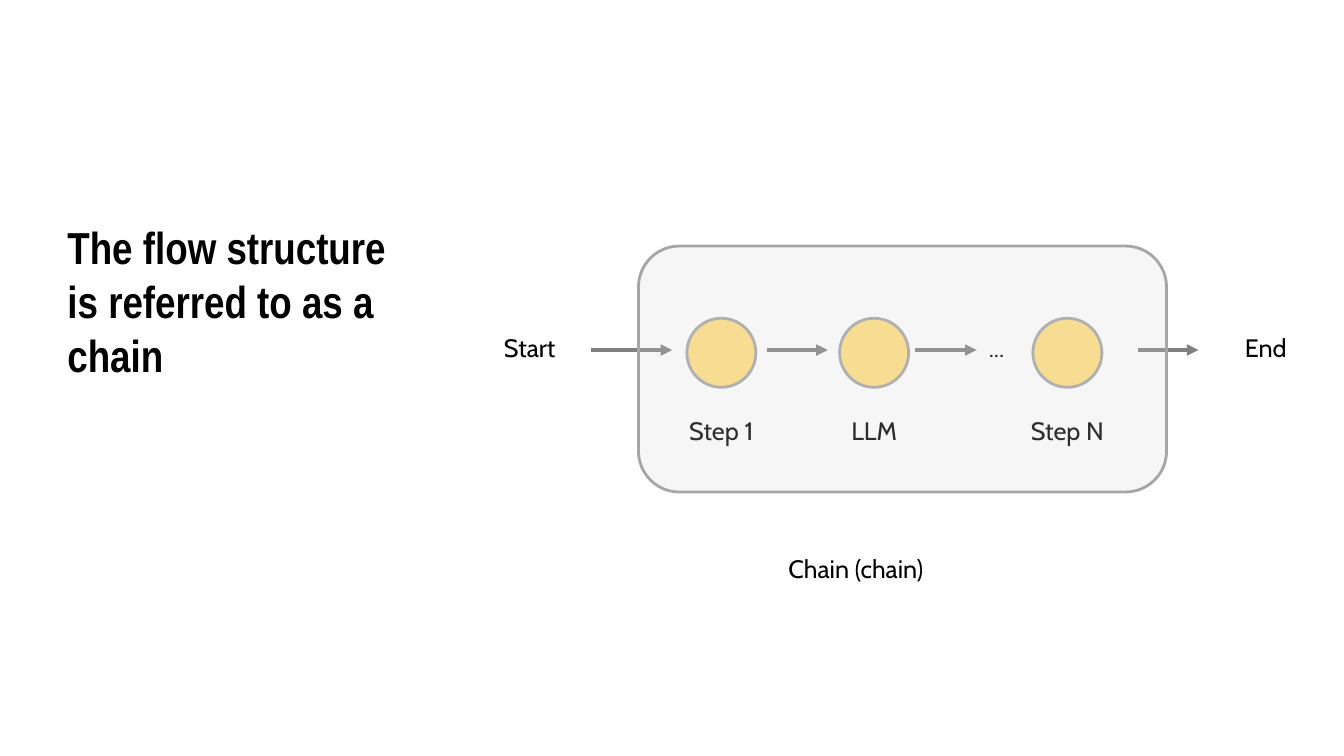
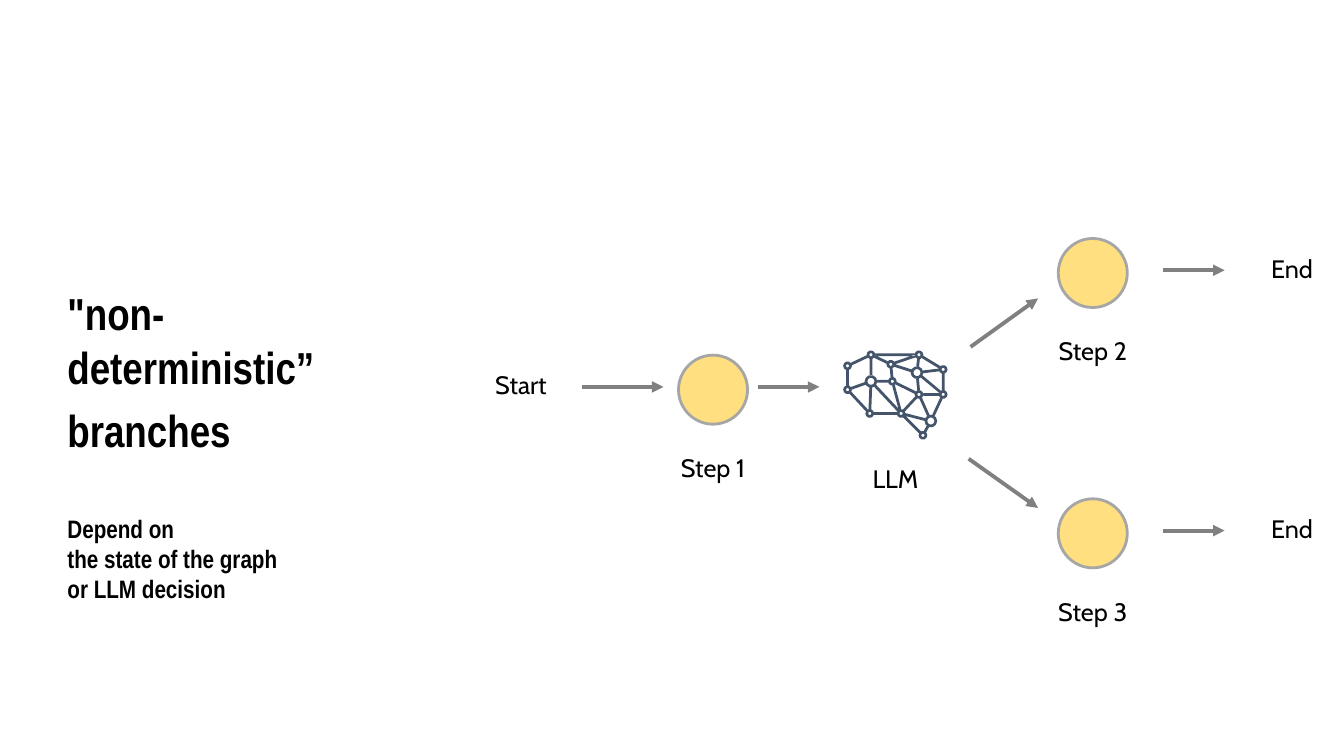
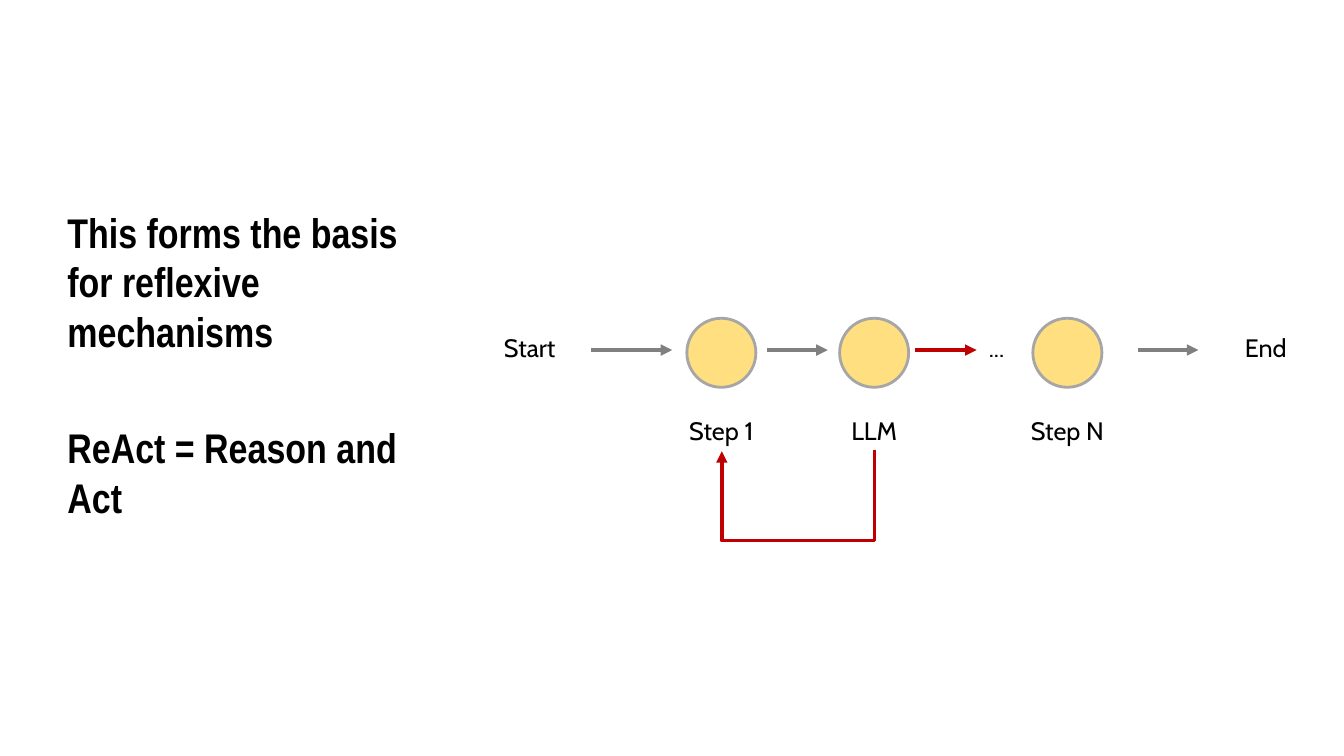
from dataclasses import dataclass
from math import cos, hypot, pi, sin

from lxml import etree
from pptx import Presentation
from pptx.dml.color import RGBColor
from pptx.enum.shapes import MSO_CONNECTOR, MSO_SHAPE
from pptx.enum.text import MSO_ANCHOR, PP_ALIGN
from pptx.oxml.ns import qn
from pptx.shapes.connector import Connector
from pptx.util import Cm, Pt

STRAIGHT, ELBOW = MSO_CONNECTOR.STRAIGHT, MSO_CONNECTOR.ELBOW
OVAL, ROUNDED = MSO_SHAPE.OVAL, MSO_SHAPE.ROUNDED_RECTANGLE
LEFT, CENTER = PP_ALIGN.LEFT, PP_ALIGN.CENTER
TOP, MIDDLE = MSO_ANCHOR.TOP, MSO_ANCHOR.MIDDLE

# Shared style
BLACK = RGBColor(0x00, 0x00, 0x00)
AMBER = RGBColor(0xFF, 0xC0, 0x00)
PALE_GRAY = RGBColor(0xD9, 0xD9, 0xD9)
EDGE_GRAY = RGBColor(0xA6, 0xA6, 0xA6)
ARROW_GRAY = RGBColor(0x80, 0x80, 0x80)
RED = RGBColor(0xC0, 0x00, 0x00)
SLATE = RGBColor(0x44, 0x54, 0x6A)
TITLE_FONT, LABEL_FONT = "Arial Narrow", "Cabin"

# Shared measures in centimetres; offsets are from the centre line of a flow
TITLE_LEFT, TITLE_TOP = 1.45, 5.33
STEP_SIZE = 1.74
LABEL_WIDTH, LABEL_HEIGHT = 2.64, 1.02
STEP_LABEL_OFFSET, END_LABEL_OFFSET, ARROW_OFFSET = 1.45, -0.63, -0.07
FLOW_Y = 8.89

Point = tuple[float, float]


@dataclass(frozen=True)
class Step:
    name: str
    x: float
    y: float


@dataclass(frozen=True)
class Arrow:
    start: float
    end: float
    y: float
    color: RGBColor = ARROW_GRAY


@dataclass(frozen=True)
class Node:
    x: float
    y: float
    radius: float = 0.11


FLOW_STEPS = (
    Step("Step 1", 18.18, FLOW_Y),
    Step("LLM", 22.03, FLOW_Y),
    Step("Step N", 26.9, FLOW_Y),
)

# Network icon: nodes and the pairs they join
EDGE_WIDTH, RING_WIDTH, RING_SIDES = 0.07, 0.07, 10
NODES = {
    "a": Node(21.95, 8.94), "b": Node(23.16, 8.94), "c": Node(21.36, 9.22),
    "d": Node(22.45, 9.18), "e": Node(23.11, 9.39, 0.16), "f": Node(23.77, 9.31),
    "g": Node(21.95, 9.61, 0.16), "h": Node(22.49, 9.61), "i": Node(21.36, 9.82),
    "j": Node(23.16, 9.94), "k": Node(23.77, 9.94), "l": Node(21.92, 10.42),
    "m": Node(22.71, 10.42), "n": Node(23.46, 10.61, 0.16), "o": Node(23.26, 10.97),
}
EDGES = ("ab ac ad ag bd be bf ci de dh ef ej ek fk gh gi gl gm "
         "hj hm il jk jm jn kn lm mn mo no").split()


# Drawing helpers
def write(shapes, text: str, left: float, top: float, width: float, height: float, *,
          font: str = LABEL_FONT, size: float = 18, bold: bool = False,
          align: PP_ALIGN = LEFT, anchor: MSO_ANCHOR = TOP,
          gaps: tuple[float, ...] = (0,)) -> None:
    """Write one paragraph per line of text; gaps are the spaces before them."""
    box = shapes.add_textbox(Cm(left), Cm(top), Cm(width), Cm(height))
    frame = box.text_frame
    frame.word_wrap = True
    frame.vertical_anchor = anchor
    for index, (line, gap) in enumerate(zip(text.split("\n"), gaps)):
        para = frame.add_paragraph() if index else frame.paragraphs[0]
        para.text = line
        para.alignment = align
        para.space_before = Pt(gap)
        for span in para.runs:
            span.font.name = font
            span.font.size = Pt(size)
            span.font.bold = bold
            span.font.color.rgb = BLACK


def write_title(shapes, text: str, width: float, height: float, *, top: float = TITLE_TOP,
                size: float = 32, gaps: tuple[float, ...] = (6.4,)) -> None:
    write(shapes, text, TITLE_LEFT, top, width, height, font=TITLE_FONT, size=size,
          bold=True, anchor=MIDDLE, gaps=gaps)


def write_label(shapes, text: str, x: float, top: float) -> None:
    write(shapes, text, x - LABEL_WIDTH / 2, top, LABEL_WIDTH, LABEL_HEIGHT, align=CENTER)


def add_figure(shapes, kind: MSO_SHAPE, left: float, top: float, width: float, height: float,
               fill: RGBColor, opacity: int) -> None:
    figure = shapes.add_shape(kind, Cm(left), Cm(top), Cm(width), Cm(height))
    figure.shadow.inherit = False
    figure.fill.solid()
    figure.fill.fore_color.rgb = fill
    figure.line.color.rgb = EDGE_GRAY
    figure.line.width = Pt(2)
    color = figure._element.spPr.find(qn("a:solidFill")).find(qn("a:srgbClr"))
    etree.SubElement(color, qn("a:alpha")).set("val", str(opacity * 1000))


def add_arrow(shapes, start: Point, end: Point, *, color: RGBColor = ARROW_GRAY,
              kind: MSO_CONNECTOR = STRAIGHT) -> Connector:
    arrow = shapes.add_connector(kind, Cm(start[0]), Cm(start[1]), Cm(end[0]), Cm(end[1]))
    arrow.line.color.rgb = color
    arrow.line.width = Pt(2.75)
    outline = arrow._element.spPr.find(qn("a:ln"))
    etree.SubElement(outline, qn("a:tailEnd")).set("type", "triangle")
    etree.SubElement(arrow._element.spPr, qn("a:effectLst"))
    return arrow


def draw_flow(shapes, steps: tuple[Step, ...], arrows: tuple[Arrow, ...],
              terminals: tuple[Step, ...]) -> None:
    for terminal in terminals:
        write_label(shapes, terminal.name, terminal.x, terminal.y + END_LABEL_OFFSET)
    for arrow in arrows:
        y = arrow.y + ARROW_OFFSET
        add_arrow(shapes, (arrow.start, y), (arrow.end, y), color=arrow.color)
    for step in steps:
        add_figure(shapes, OVAL, step.x - STEP_SIZE / 2, step.y - STEP_SIZE / 2,
                   STEP_SIZE, STEP_SIZE, AMBER, opacity=50)
        write_label(shapes, step.name, step.x, step.y + STEP_LABEL_OFFSET)


def draw_linear_flow(shapes, onward_color: RGBColor = ARROW_GRAY) -> None:
    arrows = (
        Arrow(14.9, 16.94, FLOW_Y),
        Arrow(19.33, 20.86, FLOW_Y),
        Arrow(23.06, 24.61, FLOW_Y, onward_color),
        Arrow(28.68, 30.2, FLOW_Y),
    )
    terminals = (Step("Start", 13.35, FLOW_Y), Step("End", 31.9, FLOW_Y))
    draw_flow(shapes, FLOW_STEPS, arrows, terminals)
    write(shapes, "...", 24.67, FLOW_Y + END_LABEL_OFFSET, 0.99, LABEL_HEIGHT)


# Network icon
def ring_outline(node: Node, radius: float) -> list[Point]:
    angles = [2 * pi * side / RING_SIDES for side in range(RING_SIDES)]
    return [(node.x + radius * cos(angle), node.y + radius * sin(angle)) for angle in angles]


def edge_outline(start: Node, end: Node) -> list[Point]:
    """Return the corners of a bar that runs from rim to rim."""
    length = hypot(end.x - start.x, end.y - start.y)
    along_x, along_y = (end.x - start.x) / length, (end.y - start.y) / length
    half = EDGE_WIDTH / 2
    corners = ((start.radius, half), (length - end.radius, half),
               (length - end.radius, -half), (start.radius, -half))
    return [(start.x + along * along_x - across * along_y,
             start.y + along * along_y + across * along_x) for along, across in corners]


def draw_network(shapes) -> None:
    outlines = [edge_outline(NODES[first], NODES[second]) for first, second in EDGES]
    for node in NODES.values():
        outlines.append(ring_outline(node, node.radius))
        outlines.append(ring_outline(node, node.radius - RING_WIDTH)[::-1])
    contours = [[(Cm(x), Cm(y)) for x, y in outline] for outline in outlines]
    builder = shapes.build_freeform(*contours[0][0])
    for index, contour in enumerate(contours):
        if index:
            builder.move_to(*contour[0])
        builder.add_line_segments(contour[1:], close=True)
    network = builder.convert_to_shape()
    network.shadow.inherit = False
    network.fill.solid()
    network.fill.fore_color.rgb = SLATE
    network.line.fill.background()


def draw_loop_back(shapes, source: Step, target: Step) -> None:
    """Lead an elbow arrow down from the source label and up to the target."""
    x, y = (source.x + target.x) / 2 + 0.01, 11.35
    drop, rise = 2.29, 0.04
    reach = source.x - target.x
    loop = add_arrow(shapes, (x - rise / 2, y - reach / 2), (x + rise / 2, y + reach / 2),
                     color=RED, kind=ELBOW)
    properties = loop._element.spPr
    properties.find(qn("a:xfrm")).set("rot", "5400000")
    adjustments = properties.find(qn("a:prstGeom")).get_or_add_avLst()
    guide = etree.SubElement(adjustments, qn("a:gd"))
    guide.set("name", "adj1")
    guide.set("fmla", f"val {round(drop / rise * 100000)}")


# Slides
def build_chain(shapes) -> None:
    draw_linear_flow(shapes)
    add_figure(shapes, ROUNDED, 16.09, 6.2, 13.31, 6.2, PALE_GRAY, opacity=21)
    write(shapes, "Chain (chain)", 19.62, 13.82, 4.83, LABEL_HEIGHT)
    write_title(shapes, "The flow structure is referred to as a chain", 8.89, 4.5)


def build_branches(shapes) -> None:
    write_title(shapes, "\"non-deterministic”\nbranches", 8.43, 8.05, gaps=(6.4, 6.4))
    write_title(shapes, "Depend on\vthe state of the graph\vor LLM decision", 11.91, 7.7,
                top=10.22, size=18, gaps=(3.6,))
    middle, upper, lower = 9.82, 6.88, 13.44
    steps = (Step("Step 1", 17.97, middle), Step("Step 2", 27.54, upper),
             Step("Step 3", 27.54, lower))
    arrows = (Arrow(14.67, 16.72, middle), Arrow(19.1, 20.65, middle),
              Arrow(29.32, 30.86, upper), Arrow(29.32, 30.86, lower))
    terminals = (Step("Start", 13.13, middle), Step("End", 32.56, upper),
                 Step("End", 32.56, lower))
    draw_flow(shapes, steps, arrows, terminals)
    add_arrow(shapes, (24.46, 8.74), (26.16, 7.52))
    add_arrow(shapes, (24.41, 11.56), (26.16, 12.8))
    model = shapes.add_group_shape().shapes
    draw_network(model)
    write(model, "LLM", 21.74, 11.56, 1.72, LABEL_HEIGHT)


def build_reflexion(shapes) -> None:
    write_title(shapes, "This forms the basis for reflexive mechanisms\nReAct = Reason and Act",
                9.75, 7.7, size=29.6, gaps=(5.9, 47.3))
    draw_linear_flow(shapes, onward_color=RED)
    draw_loop_back(shapes, FLOW_STEPS[1], FLOW_STEPS[0])


def main() -> None:
    deck = Presentation()
    deck.slide_width, deck.slide_height = Cm(33.87), Cm(19.05)
    blank = deck.slide_layouts[6]
    for build in (build_chain, build_branches, build_reflexion):
        page = deck.slides.add_slide(blank)
        build(page.shapes)
    deck.save("out.pptx")


if __name__ == "__main__":
    main()
